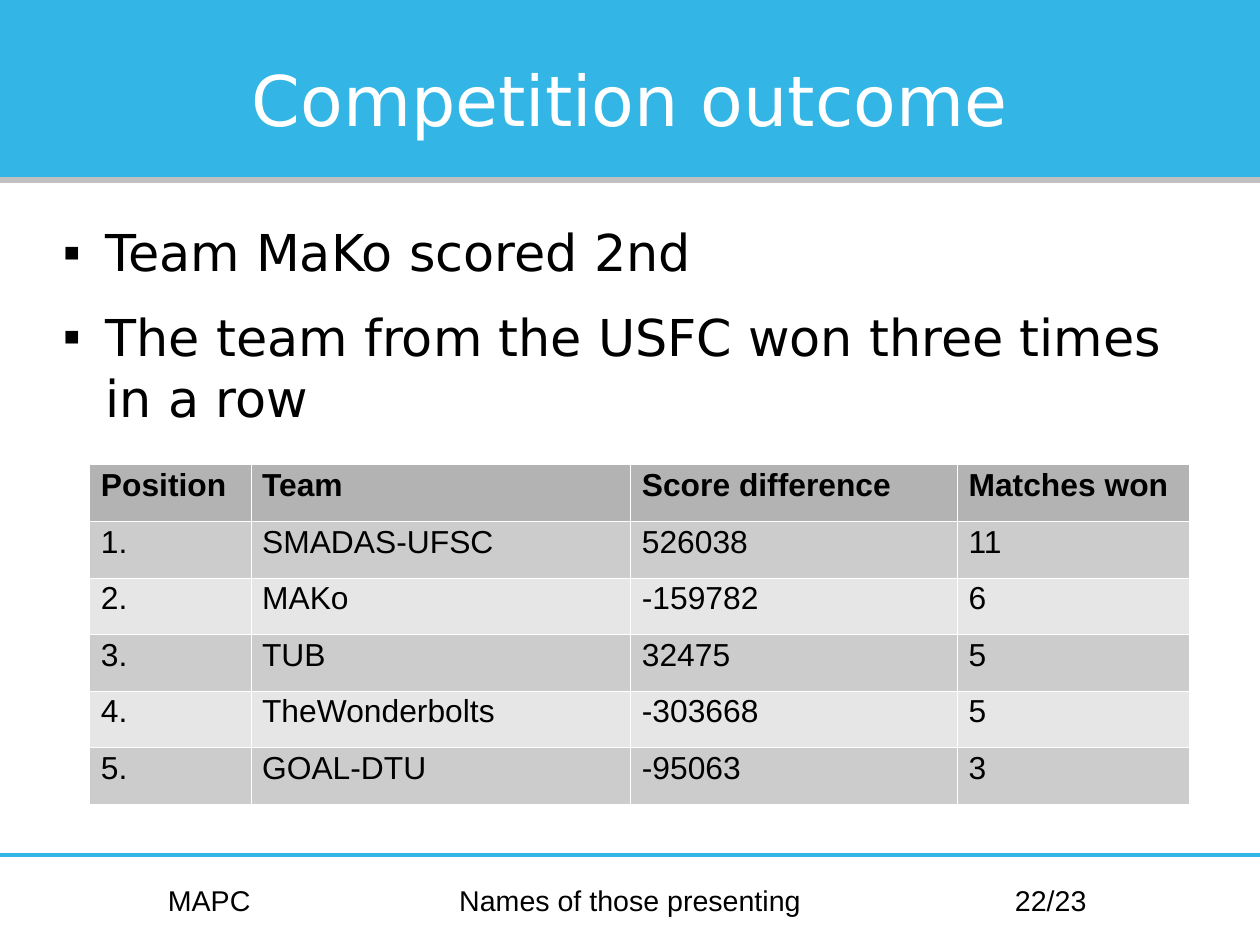
from lxml import etree
from pptx import Presentation
from pptx.dml.color import RGBColor
from pptx.enum import shapes, text
from pptx.oxml import ns
from pptx.util import Cm, Pt

BLUE = RGBColor(0x33, 0xB5, 0xE5)
SILVER = RGBColor(0xC0, 0xC0, 0xC0)
WHITE = RGBColor(0xFF, 0xFF, 0xFF)
BLACK = RGBColor(0, 0, 0)
HEADER_GREY = RGBColor(0xB3, 0xB3, 0xB3)
BAND_GREYS = (RGBColor(0xCC, 0xCC, 0xCC), RGBColor(0xE6, 0xE6, 0xE6))

PAGE_WIDTH, PAGE_HEIGHT = Cm(28), Cm(21)
MARGIN = Cm(1.4)
CONTENT_WIDTH = PAGE_WIDTH - 2 * MARGIN

POINTS = (
    "Team MaKo scored 2nd",
    "The team from the USFC won three times in a row",
)
RESULTS = (
    ("Position", "Team", "Score difference", "Matches won"),
    ("1.", "SMADAS-UFSC", "526038", "11"),
    ("2.", "MAKo", "-159782", "6"),
    ("3.", "TUB", "32475", "5"),
    ("4.", "TheWonderbolts", "-303668", "5"),
    ("5.", "GOAL-DTU", "-95063", "3"),
)
COLUMN_WIDTHS = (Cm(3.58), Cm(8.44), Cm(7.26), Cm(5.16))


def add_child(parent, tag, **attributes):
    return etree.SubElement(parent, ns.qn(tag), **attributes)


def format_paragraph(para, size, font_name, color, spacing, bold=False, align=None):
    para.line_spacing = spacing
    para.alignment = align
    for span in para.runs:
        span.font.size = Pt(size)
        span.font.name = font_name
        span.font.bold = bold
        span.font.color.rgb = color


def prepare_frame(frame, anchor):
    frame.word_wrap = True
    frame.auto_size = text.MSO_AUTO_SIZE.NONE
    frame.vertical_anchor = anchor
    frame.margin_left = frame.margin_right = 0
    frame.margin_top = frame.margin_bottom = 0


def place(shape, left, top, width, height):
    shape.left, shape.top, shape.width, shape.height = left, top, width, height


def add_rule(page, left, top, width, color, weight):
    rule = page.shapes.add_connector(
        shapes.MSO_CONNECTOR.STRAIGHT, left, top, left + width, top)
    rule.line.color.rgb = color
    rule.line.width = Pt(weight)
    add_child(rule.element.spPr, "a:effectLst")
    return rule


def add_header(page, left, top, width, height):
    band = page.shapes.add_shape(
        shapes.MSO_SHAPE.RECTANGLE, left, top, width, height)
    band.shadow.inherit = False
    band.fill.solid()
    band.fill.fore_color.rgb = BLUE
    band.line.fill.background()
    rule = add_rule(page, left, top + height, width, SILVER, 3.4)

    title = page.shapes.title
    for backdrop in (band, rule):
        title.element.addprevious(backdrop.element)
    place(title, left + MARGIN, top + Cm(0.84), width - 2 * MARGIN, Cm(2.67))
    title.text_frame.text = "Competition outcome"
    prepare_frame(title.text_frame, text.MSO_ANCHOR.MIDDLE)
    format_paragraph(title.text_frame.paragraphs[0], 44, "DejaVu Sans", WHITE, 1.01,
                     align=text.PP_ALIGN.CENTER)


def add_square_bullet(para):
    properties = para._p.get_or_add_pPr()
    indent = Cm(0.95)
    properties.set("marL", str(indent))
    properties.set("indent", str(-indent))
    bullet_color = add_child(properties, "a:buClr")
    add_child(bullet_color, "a:srgbClr", val=str(BLACK))
    add_child(properties, "a:buFont", typeface="Arial")
    add_child(properties, "a:buChar", char="▪")


def add_points(page, left, top, width, height):
    body = page.placeholders[1]
    place(body, left, top, width, height)
    frame = body.text_frame
    frame.text = "\n".join(POINTS)
    prepare_frame(frame, text.MSO_ANCHOR.TOP)
    for para in frame.paragraphs:
        add_square_bullet(para)
        para.space_before = Pt(0)
        para.space_after = Pt(14.3)
        format_paragraph(para, 32, "DejaVu Sans", BLACK, 1.01)


def add_cell_borders(cell):
    properties = cell._tc.get_or_add_tcPr()
    for position, side in enumerate(("a:lnL", "a:lnR", "a:lnT", "a:lnB")):
        border = etree.Element(ns.qn(side), w=str(Pt(0.06)))
        fill = add_child(border, "a:solidFill")
        add_child(fill, "a:srgbClr", val=str(WHITE))
        properties.insert(position, border)


def add_results(page, left, top, width, height):
    table = page.shapes.add_table(
        len(RESULTS), len(COLUMN_WIDTHS), left, top, width, height).table
    table.horz_banding = False
    for column, column_width in zip(table.columns, COLUMN_WIDTHS):
        column.width = column_width
    for row_index, values in enumerate(RESULTS):
        is_header = row_index == 0
        shade = HEADER_GREY if is_header else BAND_GREYS[(row_index - 1) % 2]
        for column_index, value in enumerate(values):
            cell = table.cell(row_index, column_index)
            cell.text_frame.text = value
            cell.fill.solid()
            cell.fill.fore_color.rgb = shade
            add_cell_borders(cell)
            format_paragraph(cell.text_frame.paragraphs[0], 20, "Arial", BLACK, 0.93,
                             bold=is_header)


def add_footer(page, left, top, width, height):
    add_rule(page, left, top, width, BLUE, 2.83)
    side_width, middle_width = Cm(6.5), Cm(8.87)
    entries = (
        ("MAPC", left + MARGIN, side_width),
        ("Names of those presenting", left + (width - middle_width) // 2, middle_width),
        ("22/23", left + width - MARGIN - side_width, side_width),
    )
    for label, box_left, box_width in entries:
        box = page.shapes.add_textbox(
            box_left, top + (height - Cm(1.07)) // 2, box_width, Cm(1.07))
        box.text_frame.text = label
        prepare_frame(box.text_frame, text.MSO_ANCHOR.MIDDLE)
        format_paragraph(box.text_frame.paragraphs[0], 18, "Arial", BLACK, 0.93,
                         align=text.PP_ALIGN.CENTER)


def main():
    deck = Presentation()
    deck.slide_width, deck.slide_height = PAGE_WIDTH, PAGE_HEIGHT
    page = deck.slides.add_slide(deck.slide_layouts[1])
    add_header(page, 0, 0, PAGE_WIDTH, Cm(4))
    add_points(page, MARGIN, Cm(4.9), CONTENT_WIDTH, Cm(13.87))
    add_results(page, Cm(1.99), Cm(10.32), sum(COLUMN_WIDTHS), Cm(7.55))
    add_footer(page, 0, Cm(19), PAGE_WIDTH, Cm(2.07))
    deck.save("out.pptx")


if __name__ == "__main__":
    main()
